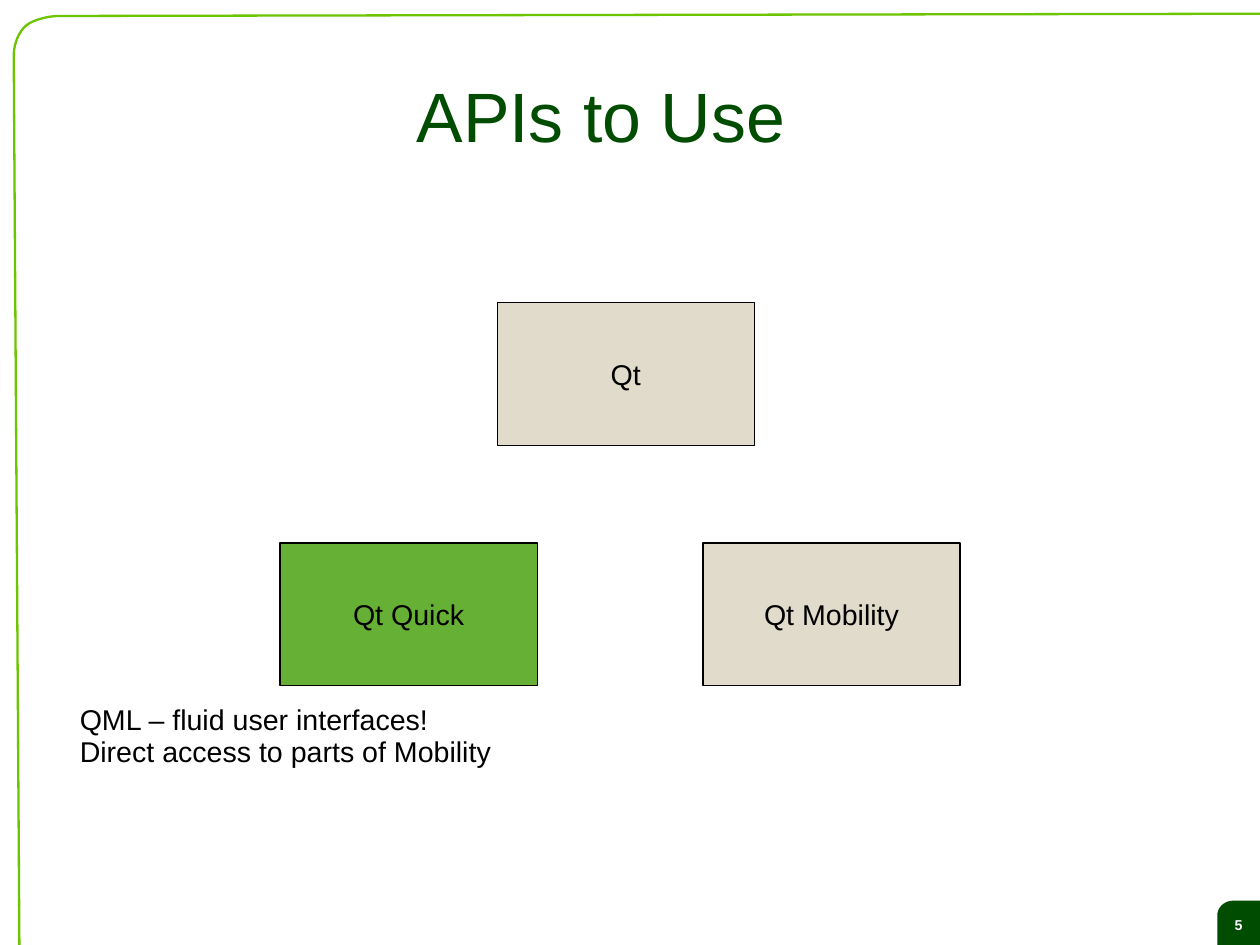
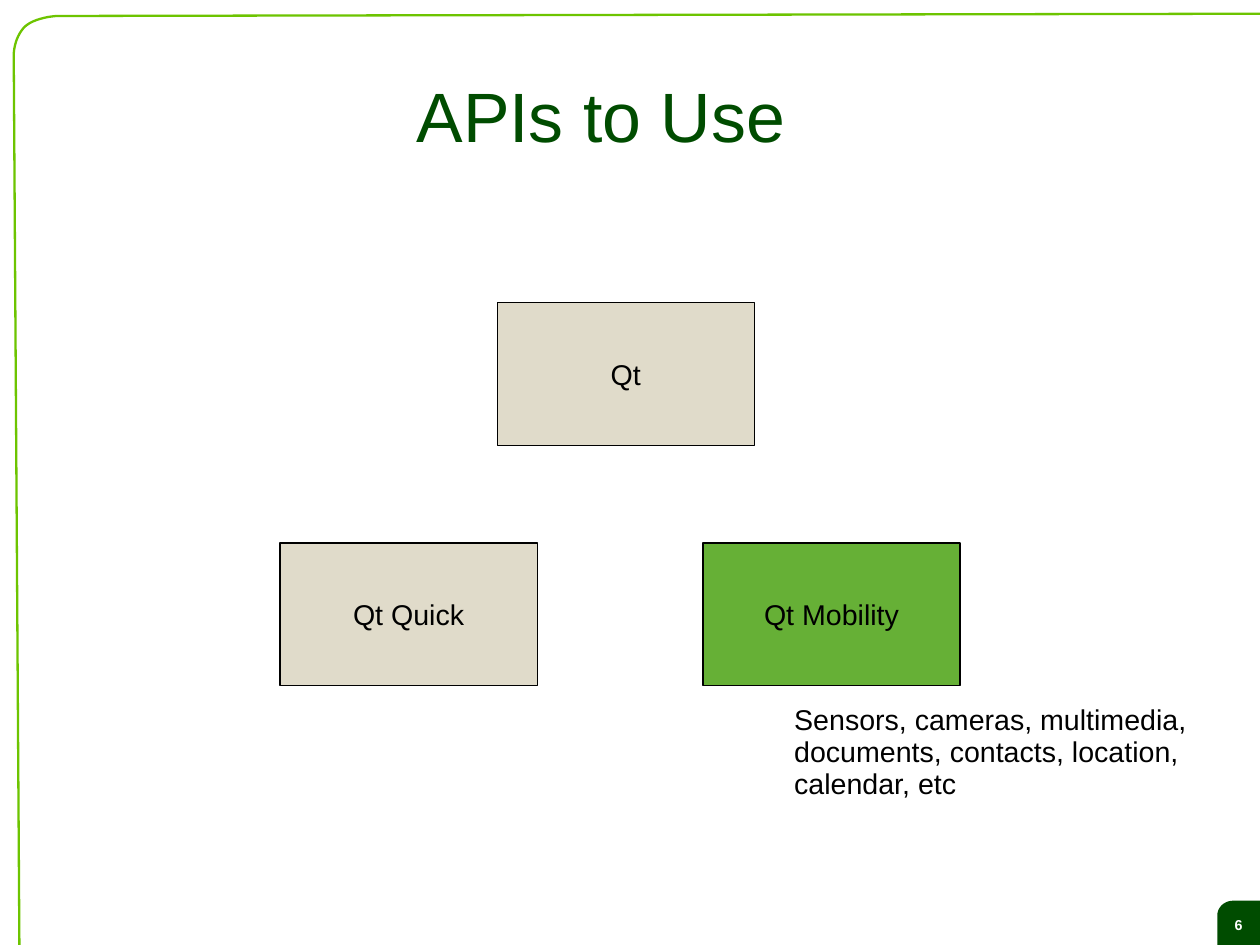
"""Build two slides on the APIs to use, each with one API highlighted."""
from dataclasses import dataclass

from pptx import Presentation
from pptx.dml.color import RGBColor
from pptx.enum.shapes import MSO_SHAPE
from pptx.enum.text import MSO_ANCHOR, PP_ALIGN
from pptx.util import Cm, Inches, Pt

RECTANGLE = MSO_SHAPE.RECTANGLE
TOP, MIDDLE = MSO_ANCHOR.TOP, MSO_ANCHOR.MIDDLE
LEFT, CENTER = PP_ALIGN.LEFT, PP_ALIGN.CENTER


@dataclass(frozen=True)
class Theme:
    font: str = "Arial"
    dark: RGBColor = RGBColor(0x00, 0x4C, 0x00)
    frame: RGBColor = RGBColor(0x6D, 0xC4, 0x00)
    highlight: RGBColor = RGBColor(0x66, 0xB0, 0x36)
    neutral: RGBColor = RGBColor(0xE0, 0xDB, 0xCA)
    ink: RGBColor = RGBColor(0x00, 0x00, 0x00)
    paper: RGBColor = RGBColor(0xFF, 0xFF, 0xFF)
    title_size: int = 44
    body_size: int = 18
    number_size: int = 9
    frame_width: float = 1.45
    box_width: float = 0.75
    line_spacing: float = 0.93


THEME = Theme()
PAGE_SIZE = (Cm(28), Cm(21))
WIDTH, HEIGHT = (length.inches for length in PAGE_SIZE)
TITLE = "APIs to Use"
TITLE_AREA = (1.68, 0.38, 7.16, 1.28)
BOX_SIZE = (2.25, 1.25)
BOX_PLACES = {"Qt": (4.35, 2.65), "Qt Quick": (2.45, 4.75), "Qt Mobility": (6.15, 4.75)}
BOX_INSETS = (0.1, 0.07, 0.1, 0.05)
SLIDES = [
    {"number": 5, "highlight": "Qt Quick", "note_area": (0.6, 6.1, 3.9, 0.66),
     "note": ["QML – fluid user interfaces!", "Direct access to parts of Mobility"]},
    {"number": 6, "highlight": "Qt Mobility", "note_area": (6.85, 6.1, 3.75, 0.94),
     "note": ["Sensors, cameras, multimedia,", "documents, contacts, location,",
              "calendar, etc"]},
]


def curve(start, first, second, end, steps=12):
    """Return points along a cubic curve, both ends included."""
    points = []
    for step in range(steps + 1):
        t = step / steps
        weights = ((1 - t) ** 3, 3 * t * (1 - t) ** 2, 3 * t * t * (1 - t), t ** 3)
        corners = (start, first, second, end)
        points.append(tuple(sum(w * c[axis] for w, c in zip(weights, corners))
                            for axis in (0, 1)))
    return points


FRAME = [(WIDTH, 0.12),
         *curve((0.5, 0.14), (0.49, 0.14), (0.3, 0.15), (0.21, 0.24)),
         *curve((0.21, 0.24), (0.12, 0.34), (0.12, 0.48), (0.12, 0.48)),
         (0.17, HEIGHT)]
NUMBER_TAB = [(WIDTH, HEIGHT), (10.65, HEIGHT),
              *curve((10.65, 8.01), (10.65, 7.94), (10.71, 7.88), (10.79, 7.88)),
              (WIDTH, 7.88)]


def add_outline(page, points, closed):
    """Add a freeform through points given in inches."""
    start, *rest = [(Inches(x), Inches(y)) for x, y in points]
    builder = page.shapes.build_freeform(*start)
    builder.add_line_segments(rest, close=closed)
    shape = builder.convert_to_shape()
    shape.shadow.inherit = False
    return shape


def write(shape, lines, size, color, insets, align=CENTER, anchor=MIDDLE,
          wrap=False, bold=False):
    """Write one paragraph per line in a shape."""
    frame = shape.text_frame
    frame.word_wrap = wrap
    frame.vertical_anchor = anchor
    (frame.margin_left, frame.margin_top,
     frame.margin_right, frame.margin_bottom) = map(Inches, insets)
    frame.text = "\n".join(lines)
    for para in frame.paragraphs:
        para.alignment = align
        para.line_spacing = THEME.line_spacing
        para.font.name = THEME.font
        para.font.size = Pt(size)
        para.font.bold = bold
        para.font.color.rgb = color


def add_text(page, area, lines, size, color, insets, **style):
    """Add a text box over an area given in inches."""
    box = page.shapes.add_textbox(*map(Inches, area))
    write(box, lines, size, color, insets, **style)


def add_api_box(page, name, color):
    """Add the box of one API."""
    box = page.shapes.add_shape(RECTANGLE, *map(Inches, BOX_PLACES[name] + BOX_SIZE))
    box.shadow.inherit = False
    box.fill.solid()
    box.fill.fore_color.rgb = color
    box.line.color.rgb = THEME.ink
    box.line.width = Pt(THEME.box_width)
    write(box, [name], THEME.body_size, THEME.ink, BOX_INSETS)


def add_base(page, number):
    """Add what every slide shares: page number, frame and title."""
    tab = add_outline(page, NUMBER_TAB, True)
    tab.fill.solid()
    tab.fill.fore_color.rgb = THEME.dark
    tab.line.fill.background()
    write(tab, [str(number)], THEME.number_size, THEME.paper, (0, 0.05, 0, 0), bold=True)
    frame = add_outline(page, FRAME, False)
    frame.fill.background()
    frame.line.color.rgb = THEME.frame
    frame.line.width = Pt(THEME.frame_width)
    add_text(page, TITLE_AREA, [TITLE], THEME.title_size, THEME.dark,
             (0, 0.04, 0, 0), wrap=True)


def main():
    """Build and save the deck."""
    deck = Presentation()
    deck.slide_width, deck.slide_height = PAGE_SIZE
    blank = deck.slide_layouts[6]
    for content in SLIDES:
        page = deck.slides.add_slide(blank)
        add_base(page, content["number"])
        for name in BOX_PLACES:
            chosen = name == content["highlight"]
            add_api_box(page, name, THEME.highlight if chosen else THEME.neutral)
        add_text(page, content["note_area"], content["note"], THEME.body_size,
                 THEME.ink, BOX_INSETS, align=LEFT, anchor=TOP)
    deck.save("out.pptx")


if __name__ == "__main__":
    main()
